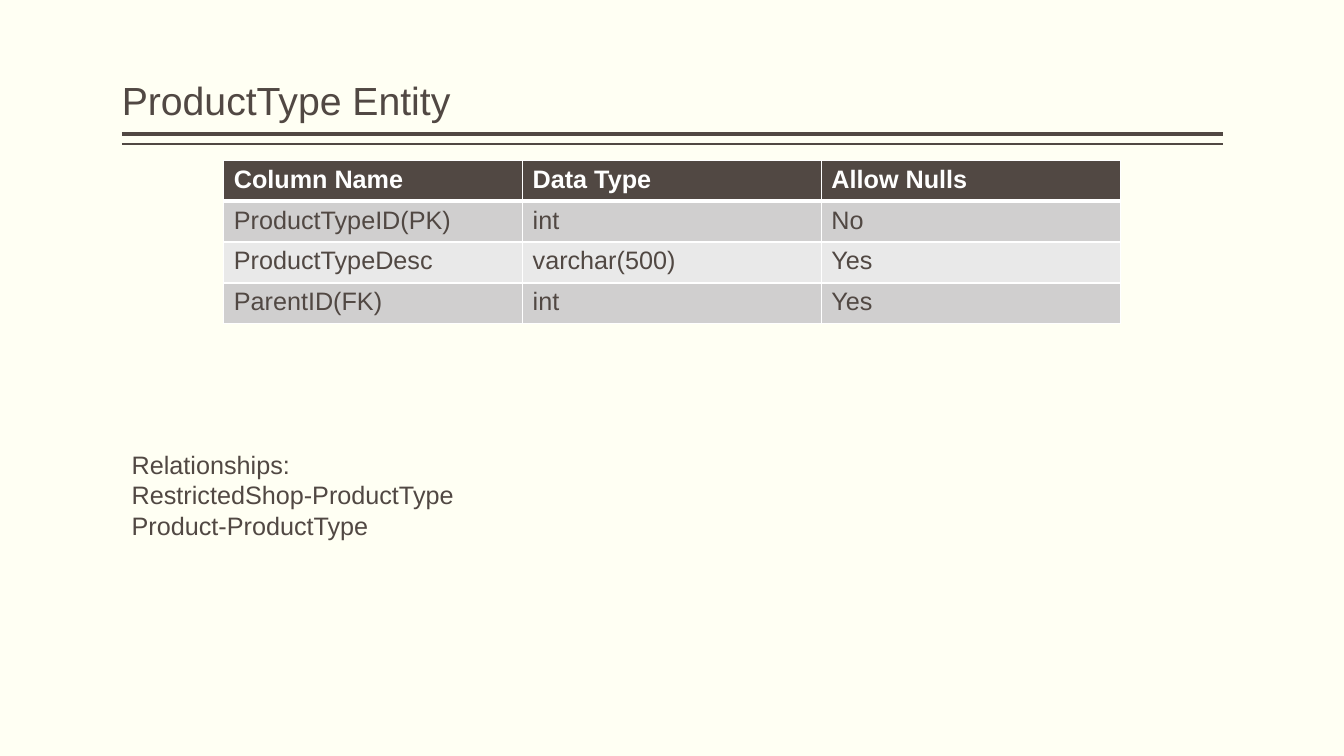
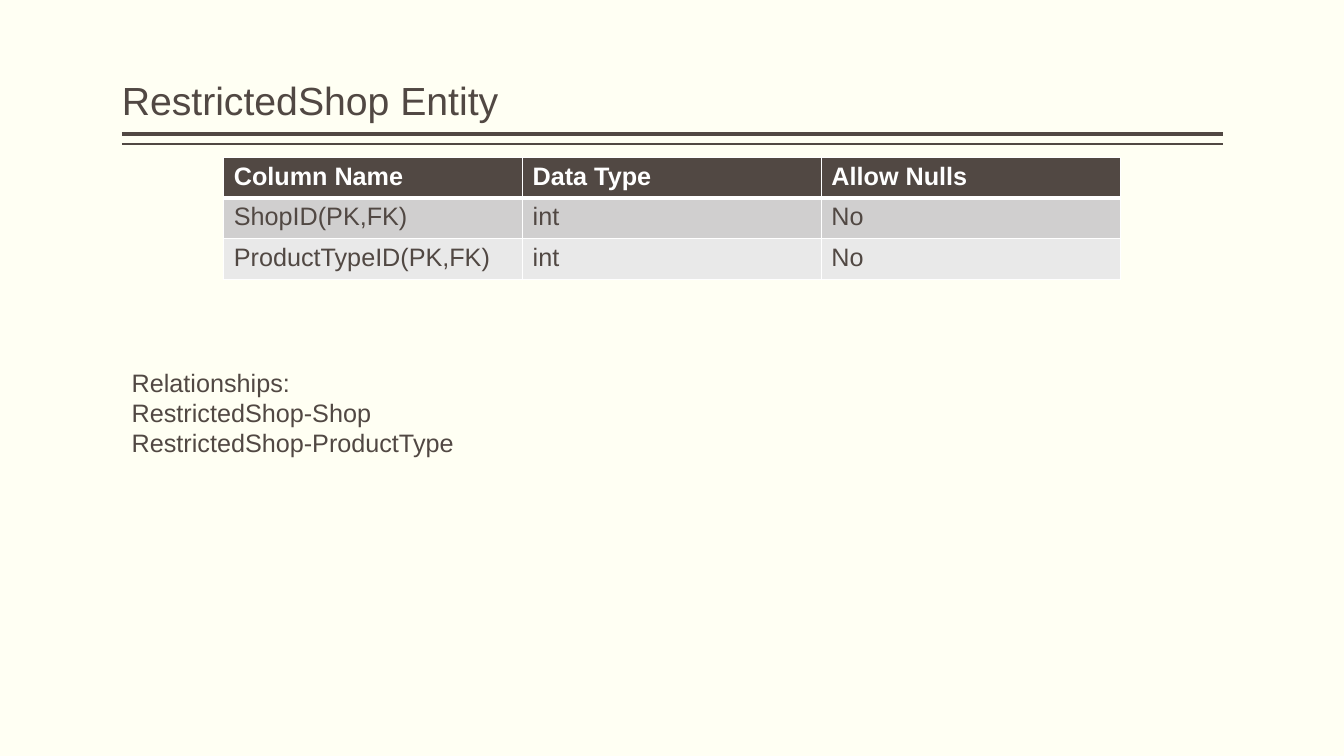
from lxml.etree import SubElement
from pptx import Presentation
from pptx.dml.color import RGBColor
from pptx.enum.shapes import MSO_CONNECTOR
from pptx.enum.text import MSO_ANCHOR, MSO_AUTO_SIZE
from pptx.oxml.ns import qn
from pptx.util import Cm, Pt

# Shared style
CREAM = RGBColor(0xFF, 0xFF, 0xF3)
BROWN = RGBColor(0x51, 0x48, 0x43)
WHITE = RGBColor(0xFF, 0xFF, 0xFF)
BAND_DARK = RGBColor(0xD0, 0xCF, 0xCF)
BAND_LIGHT = RGBColor(0xE9, 0xE9, 0xE9)
FONT = "Arial"
LEFT, WIDTH = Cm(3.07), Cm(27.74)
COLUMN_WIDTH, ROW_HEIGHT = Cm(7.53), Cm(1.03)
RULES = [(Cm(3.38), Pt(3)), (Cm(3.63), Pt(1))]
HEADER = ("Column Name", "Data Type", "Allow Nulls")

# Title, table top, table rows, relationships top, relationships
ENTITIES = [
    ("ProductType Entity", Cm(4.04),
     [("ProductTypeID(PK)", "int", "No"),
      ("ProductTypeDesc", "varchar(500)", "Yes"),
      ("ParentID(FK)", "int", "Yes")],
     Cm(11.2), ["RestrictedShop-ProductType", "Product-ProductType"]),
    ("RestrictedShop Entity", Cm(3.96),
     [("ShopID(PK,FK)", "int", "No"),
      ("ProductTypeID(PK,FK)", "int", "No")],
     Cm(9.12), ["RestrictedShop-Shop", "RestrictedShop-ProductType"]),
]


def style_text(text_frame, size, color, bold=False):
    for paragraph in text_frame.paragraphs:
        for run in paragraph.runs:
            run.font.name = FONT
            run.font.size = Pt(size)
            run.font.bold = bold
            run.font.color.rgb = color


def add_borders(cell, top, bottom):
    properties = cell._tc.get_or_add_tcPr()
    for side, points in (("L", 1), ("R", 1), ("T", top), ("B", bottom)):
        border = SubElement(properties, qn(f"a:ln{side}"), w=str(Pt(points)))
        fill = SubElement(border, qn("a:solidFill"))
        SubElement(fill, qn("a:srgbClr"), val=str(WHITE))


presentation = Presentation()
presentation.slide_width, presentation.slide_height = Cm(33.87), Cm(19.05)
background = presentation.slide_master.background.fill
background.solid()
background.fore_color.rgb = CREAM

for title, table_top, rows, relationships_top, relationships in ENTITIES:
    slide = presentation.slides.add_slide(presentation.slide_layouts[6])

    # Double rule under the title
    for rule_top, rule_width in RULES:
        rule = slide.shapes.add_connector(
            MSO_CONNECTOR.STRAIGHT, LEFT, rule_top, LEFT + WIDTH, rule_top)
        rule.line.color.rgb = BROWN
        rule.line.width = rule_width
        SubElement(rule._element.spPr, qn("a:effectLst"))

    # Column table
    table_rows = [HEADER, *rows]
    table = slide.shapes.add_table(
        len(table_rows), len(HEADER), Cm(5.64), table_top,
        COLUMN_WIDTH * len(HEADER), ROW_HEIGHT * len(table_rows)).table
    for column in table.columns:
        column.width = COLUMN_WIDTH
    for row_index, values in enumerate(table_rows):
        table.rows[row_index].height = ROW_HEIGHT
        is_header = row_index == 0
        band = BAND_DARK if row_index % 2 else BAND_LIGHT
        for column_index, value in enumerate(values):
            cell = table.cell(row_index, column_index)
            cell.text_frame.text = value
            style_text(cell.text_frame, 18, WHITE if is_header else BROWN, is_header)
            add_borders(cell, top=3 if row_index == 1 else 1,
                        bottom=3 if is_header else 1)
            cell.fill.solid()
            cell.fill.fore_color.rgb = BROWN if is_header else band

    # Title
    title_frame = slide.shapes.add_textbox(LEFT, Cm(0.2), WIDTH, Cm(3.05)).text_frame
    title_frame.word_wrap = True
    title_frame.vertical_anchor = MSO_ANCHOR.BOTTOM
    title_frame.margin_left = title_frame.margin_right = 0
    title_frame.text = title
    title_frame.paragraphs[0].line_spacing = 0.9
    style_text(title_frame, 28, BROWN)

    # Relationships
    relationships_frame = slide.shapes.add_textbox(
        LEFT, relationships_top, Cm(16.92), Cm(2.57)).text_frame
    relationships_frame.word_wrap = True
    relationships_frame.auto_size = MSO_AUTO_SIZE.SHAPE_TO_FIT_TEXT
    relationships_frame.text = "\n".join(["Relationships:", *relationships])
    style_text(relationships_frame, 18, BROWN)

presentation.save("out.pptx")
